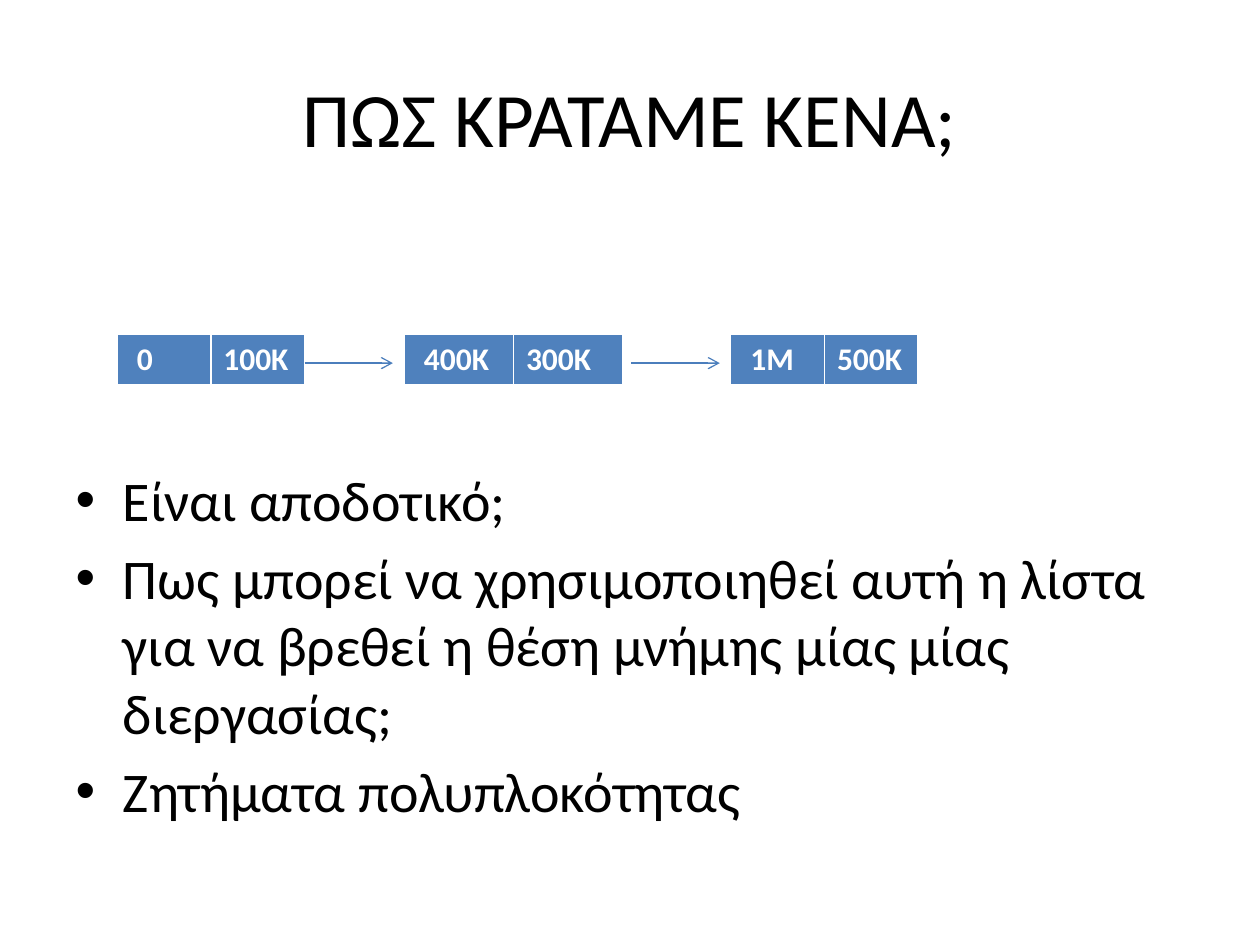
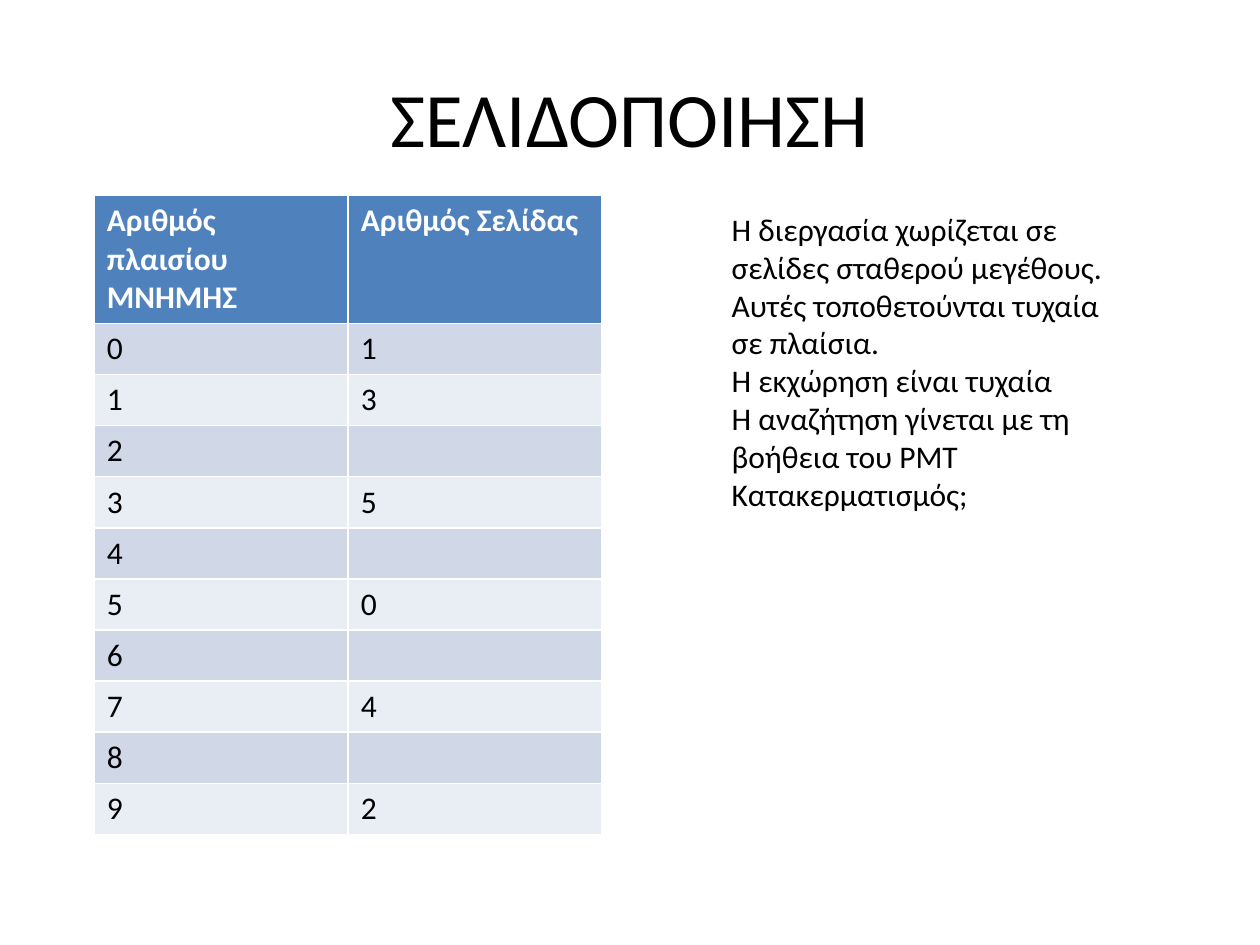
"""Build two slides on memory holes and paging."""
from dataclasses import dataclass

from lxml.etree import SubElement
from pptx import Presentation
from pptx.dml.color import RGBColor
from pptx.enum.shapes import MSO_CONNECTOR
from pptx.enum.text import MSO_AUTO_SIZE
from pptx.oxml.ns import qn
from pptx.util import Cm, Pt

COLORS = {
    "text": "000000",
    "white": "FFFFFF",
    "header": "4F81BD",
    "dark_band": "D0D8E8",
    "light_band": "E9EDF4",
    "arrow": "4B7EBC",
}
FORMATS = {
    "title": {"name": "Calibri", "size": Pt(44), "bold": False},
    "bullet": {"name": "Calibri", "size": Pt(32), "bold": False},
    "plain": {"name": "Calibri", "size": Pt(18), "bold": False},
    "header": {"name": "Calibri", "size": Pt(18), "bold": True},
}
ROW_HEIGHT = 1.03
LIST_TOP = 6.73
ARROW_Y = 7.32
ARROW_LENGTH = 1.78


@dataclass
class Grid:
    """A table with a header row; lengths in centimetres."""

    left: float
    top: float
    col_width: float
    rows: list[tuple[str, ...]]
    header_height: float = ROW_HEIGHT


@dataclass
class Arrow:
    """A horizontal arrow of the hole list, starting at left."""

    left: float


HOLES = [
    Grid(2.36, LIST_TOP, 1.89, [(" 0", "100Κ")]),
    Grid(8.15, LIST_TOP, 2.2, [(" 400Κ", "300Κ")]),
    Grid(14.73, LIST_TOP, 1.89, [(" 1Μ", "500Κ")]),
]
ARROWS = [Arrow(6.14), Arrow(12.73)]
QUESTIONS = [
    "Είναι αποδοτικό;",
    "Πως μπορεί να χρησιμοποιηθεί αυτή η λίστα για να βρεθεί η θέση "
    "μνήμης μίας μίας διεργασίας;",
    "Ζητήματα πολυπλοκότητας",
]
PAGES = ["1", "3", "", "5", "", "0", "", "4", "", "2"]
PAGE_TABLE = Grid(
    1.9, 3.94, 5.12,
    [("Αριθμός πλαισίου ΜΝΗΜΗΣ", "Αριθμός Σελίδας")]
    + [(str(frame), page) for frame, page in enumerate(PAGES)],
    header_height=2.54,
)
PAGING_NOTES = [
    "Η διεργασία χωρίζεται σε σελίδες σταθερού μεγέθους.",
    "Αυτές τοποθετούνται τυχαία σε πλαίσια.",
    "Η εκχώρηση είναι τυχαία",
    "Η αναζήτηση γίνεται με τη βοήθεια του PMT",
    "Κατακερματισμός;",
]


def rgb(name: str) -> RGBColor:
    """Return a palette colour."""
    return RGBColor.from_string(COLORS[name])


def place(sp, left: float, top: float, width: float, height: float) -> None:
    """Move and size a shape, in centimetres."""
    sp.left, sp.top, sp.width, sp.height = map(Cm, (left, top, width, height))


def write(tf, lines: list[str], style: str, color: str = "text") -> None:
    """Write one formatted paragraph for each line."""
    for i, line in enumerate(lines):
        p = tf.add_paragraph() if i else tf.paragraphs[0]
        if not line:
            continue
        r = p.add_run()
        r.text = line
        for key, value in FORMATS[style].items():
            setattr(r.font, key, value)
        r.font.color.rgb = rgb(color)


def add_slide(prs, layout: int, title: str):
    """Add a slide with the shared title."""
    s = prs.slides.add_slide(prs.slide_layouts[layout])
    place(s.shapes.title, 1.27, 0.76, 22.86, 3.18)
    write(s.shapes.title.text_frame, [title], "title")
    return s


def add_grid(s, grid: Grid) -> None:
    """Draw a table with a blue header and banded rows."""
    n_rows, n_cols = len(grid.rows), len(grid.rows[0])
    height = grid.header_height + (n_rows - 1) * ROW_HEIGHT
    table = s.shapes.add_table(
        n_rows, n_cols, Cm(grid.left), Cm(grid.top),
        Cm(n_cols * grid.col_width), Cm(height),
    ).table
    for col in table.columns:
        col.width = Cm(grid.col_width)
    for i, texts in enumerate(grid.rows):
        table.rows[i].height = Cm(ROW_HEIGHT if i else grid.header_height)
        band = "dark_band" if i % 2 else "light_band"
        fill, style, color = (
            (band, "plain", "text") if i else ("header", "header", "white")
        )
        for j, text in enumerate(texts):
            cell = table.cell(i, j)
            cell.fill.solid()
            cell.fill.fore_color.rgb = rgb(fill)
            write(cell.text_frame, [text], style, color)


def add_arrow(s, arrow: Arrow) -> None:
    """Draw a thin arrow to the next hole."""
    line = s.shapes.add_connector(
        MSO_CONNECTOR.STRAIGHT, Cm(arrow.left), Cm(ARROW_Y),
        Cm(arrow.left + ARROW_LENGTH), Cm(ARROW_Y),
    )
    line.line.color.rgb = rgb("arrow")
    line.line.width = Pt(0.75)
    props = line.element.spPr
    SubElement(props.find(qn("a:ln")), qn("a:tailEnd"), type="arrow")
    SubElement(props, qn("a:effectLst"))


def build_holes(prs) -> None:
    """Build the slide on the list of holes."""
    s = add_slide(prs, 1, "ΠΩΣ ΚΡΑΤΑΜΕ ΚΕΝΑ;")
    body = s.placeholders[1]
    place(body, 1.27, 9.25, 22.86, 7.77)
    body.text_frame.auto_size = MSO_AUTO_SIZE.NONE
    write(body.text_frame, QUESTIONS, "bullet")
    for hole in HOLES:
        add_grid(s, hole)
    for arrow in ARROWS:
        add_arrow(s, arrow)


def build_paging(prs) -> None:
    """Build the slide on paging."""
    s = add_slide(prs, 5, "ΣΕΛΙΔΟΠΟΙΗΣΗ")
    add_grid(s, PAGE_TABLE)
    sp = s.shapes.add_textbox(Cm(14.5), Cm(4.11), Cm(8.61), Cm(6.4))
    tf = sp.text_frame
    tf.word_wrap = True
    tf.auto_size = MSO_AUTO_SIZE.SHAPE_TO_FIT_TEXT
    write(tf, PAGING_NOTES, "plain")


def main() -> None:
    """Build and save the presentation."""
    prs = Presentation()
    prs.slide_width, prs.slide_height = Cm(25.4), Cm(19.05)
    build_holes(prs)
    build_paging(prs)
    prs.save("out.pptx")


if __name__ == "__main__":
    main()
